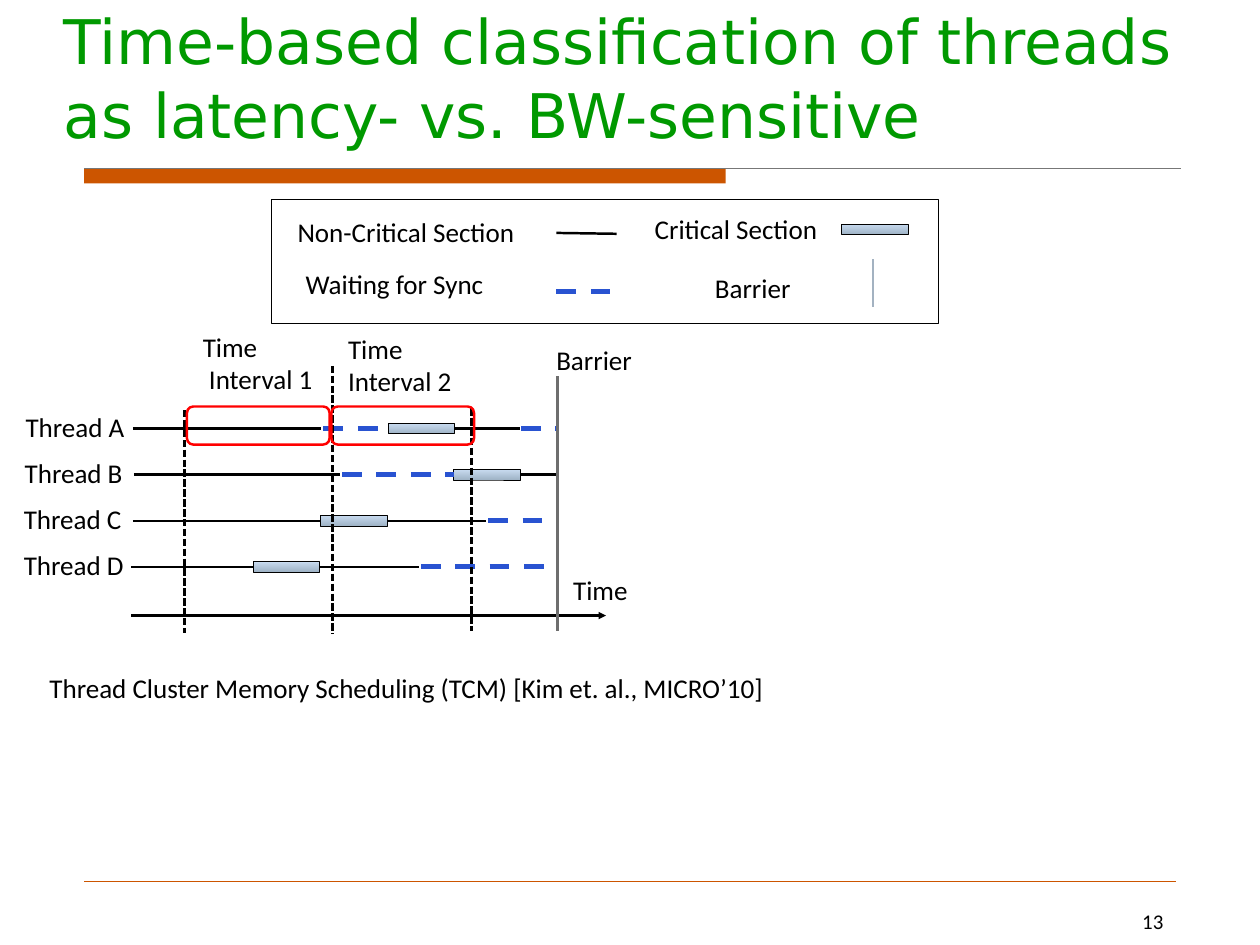
from pptx import Presentation
from pptx.dml.color import RGBColor
from pptx.enum.dml import MSO_LINE as Dash
from pptx.enum.shapes import MSO_CONNECTOR as Connector, MSO_SHAPE as Preset
from pptx.enum.text import MSO_ANCHOR as Anchor, MSO_AUTO_SIZE as AutoSize, PP_ALIGN as Align
from pptx.oxml.ns import qn
from pptx.util import Inches, Pt
from lxml.etree import SubElement

# Content (lengths in inches)
TITLE = "Time-based classification of threads as latency- vs. BW-sensitive"
CITATION = ("Thread Cluster Memory Scheduling (TCM) [Kim et. al., MICRO’10]", 0.46, 7.53, 8.57)
PAGE = "13"

LEGEND_BOX = (3.06, 2.25, 7.53, 1.4)
LEGEND_LABELS = [  # text, left, top, width
    ("Non-Critical Section", 3.26, 2.38, 2.79),
    ("Waiting for Sync", 3.35, 2.97, 2.26),
    ("Critical Section", 7.29, 2.35, 2.12),
    ("Barrier", 7.97, 3.02, 1.09),
]
LEGEND_LINES = [  # line style, start, end
    ("run", (6.28, 2.63), (6.96, 2.64)),
    ("wait", (6.28, 3.29), (6.89, 3.29)),
    ("legend barrier", (9.85, 2.93), (9.85, 3.47)),
]
LEGEND_CRITICAL = (9.5, 2.59)  # left, middle

THREADS = [  # name, label left, label width, spans of (state, from, to)
    ("Thread A", 0.19, 1.37, [("run", 1.5, 3.62), ("wait", 3.65, 4.38), ("critical", 4.38, 5.13),
                              ("run", 5.13, 5.87), ("wait", 5.88, 6.3)]),
    ("Thread B", 0.18, 1.35, [("run", 1.51, 3.84), ("wait", 3.86, 5.12), ("critical", 5.12, 5.87),
                              ("run", 5.87, 6.3)]),
    ("Thread C", 0.17, 1.4, [("run", 1.5, 3.62), ("critical", 3.62, 4.37),
                             ("run", 4.37, 5.48), ("wait", 5.51, 6.25)]),
    ("Thread D", 0.17, 1.41, [("run", 1.48, 2.86), ("critical", 2.86, 3.61),
                              ("run", 3.61, 4.73), ("wait", 4.75, 6.3)]),
]
FIRST_THREAD, THREAD_PITCH = 4.84, 0.52
CRITICAL_WIDTH, CRITICAL_HEIGHT = 0.75, 0.12
LABEL_HEIGHT = 0.47

TIME_AXIS = ((1.48, 6.95), (6.84, 6.95))
MARKERS = [  # line style, x, top, bottom
    ("interval", 2.08, 4.63, 7.15),
    ("interval", 3.75, 4.13, 7.15),
    ("interval", 5.32, 4.61, 7.12),
    ("barrier", 6.29, 4.25, 7.12),
]
CHART_LABELS = [("Time", 6.37, 6.43, 0.84), ("Barrier", 6.18, 3.83, 1.09)]
INTERVALS = [  # name, label left, top, width, indent of second line, frame left
    ("Interval 1", 2.19, 3.68, 1.48, 0.07, 2.11),
    ("Interval 2", 3.83, 3.7, 1.39, 0, 3.74),
]
FRAME_TOP, FRAME_WIDTH, FRAME_HEIGHT = 4.59, 1.61, 0.43

THEME = {
    "title": {"name": "DejaVu Sans", "size": 50, "color": "009900"},
    "label": {"name": "Calibri", "size": 22, "color": "000000"},
    "page": {"name": "Calibri", "size": 17, "color": "000000"},
    "bar": "CC5500",
    "critical": ("9EB2C5", "C9DCF1"),
    "lines": {  # colour, points, dash
        "run": ("000000", 2, None),
        "wait": ("2953D1", 4, Dash.DASH),
        "interval": ("000000", 2, Dash.SQUARE_DOT),
        "barrier": ("6E6E6E", 2, None),
        "legend barrier": ("A3B2C1", 2, None),
        "outline": ("000000", 0.75, None),
        "frame": ("FF0000", 2, None),
        "header": ("777777", 0.75, None),
        "footer": ("CC5500", 0.25, None),
    },
}

deck = Presentation()
deck.slide_width, deck.slide_height = Inches(14.22), Inches(10.67)
slide = deck.slides.add_slide(deck.slide_layouts[5])


def inches(*lengths):
    return [Inches(length) for length in lengths]


def set_all(target, values):
    for key, value in values.items():
        setattr(target, key, value)


def style_font(font, style):
    look = THEME[style]
    set_all(font, {"name": look["name"], "size": Pt(look["size"]), "bold": False})
    font.color.rgb = RGBColor.from_string(look["color"])


def style_line(line, style):
    color, width, dash = THEME["lines"][style]
    line.color.rgb = RGBColor.from_string(color)
    line.width = Pt(width)
    if dash:
        line.dash_style = dash


def add_line(style, start, end, arrow=False):
    connector = slide.shapes.add_connector(Connector.STRAIGHT, *inches(*start, *end))
    style_line(connector.line, style)
    properties = connector.element.spPr
    if arrow:
        SubElement(properties.find(qn("a:ln")), qn("a:tailEnd"), type="triangle")
    SubElement(properties, qn("a:effectLst"))
    return connector


def add_box(preset, box, style=None):
    shape = slide.shapes.add_shape(preset, *inches(*box))
    shape.shadow.inherit = False
    shape.fill.background()
    if style:
        style_line(shape.line, style)
    else:
        shape.line.fill.background()
    return shape


def add_critical(left, middle):
    section = add_box(Preset.RECTANGLE, (left, middle - CRITICAL_HEIGHT / 2,
                                         CRITICAL_WIDTH, CRITICAL_HEIGHT), "outline")
    section.fill.gradient()
    section.fill.gradient_angle = 90
    for stop, color in zip(section.fill.gradient_stops, THEME["critical"]):
        stop.color.rgb = RGBColor.from_string(color)
    return section


def add_label(lines, left, top, width, height=LABEL_HEIGHT, style="label"):
    frame = slide.shapes.add_textbox(*inches(left, top, width, height)).text_frame
    frame.word_wrap = True
    frame.text = "\n".join(lines)
    for paragraph in frame.paragraphs:
        style_font(paragraph.font, style)
    return frame


# Header and footer rules
bar = add_box(Preset.RECTANGLE, (0.95, 1.9, 7.24, 0.17))
bar.fill.solid()
bar.fill.fore_color.rgb = RGBColor.from_string(THEME["bar"])
add_line("header", (0.95, 1.9), (13.33, 1.9))
add_line("footer", (0.95, 9.95), (13.27, 9.95))

# Title and page number
margins = dict(zip(("margin_left", "margin_top", "margin_right", "margin_bottom"),
                   inches(0.14, 0.07, 0.14, 0.07)))
title = slide.shapes.title
set_all(title, dict(zip(("left", "top", "width", "height"), inches(0.58, 0.47, 13.64, 1.3))))
title.text_frame.text = TITLE
set_all(title.text_frame, {**margins, "vertical_anchor": Anchor.BOTTOM,
                           "auto_size": AutoSize.NONE, "word_wrap": True})
heading = title.text_frame.paragraphs[0]
heading.alignment = Align.LEFT
style_font(heading.font, "title")

page = add_label([PAGE], 10.19, 10.19, 3.08, 0.26, "page")
set_all(page, margins)
page.paragraphs[0].alignment = Align.RIGHT

# Legend
add_box(Preset.RECTANGLE, LEGEND_BOX, "outline")
add_critical(*LEGEND_CRITICAL)
for style, start, end in LEGEND_LINES:
    add_line(style, start, end)

# Threads: critical sections first, then the lines joined to them
for row, (name, left, width, spans) in enumerate(THREADS):
    y = FIRST_THREAD + row * THREAD_PITCH
    add_label([name], left, y - 0.26, width)
    sections = {i: add_critical(start, y)
                for i, (state, start, _) in enumerate(spans) if state == "critical"}
    for i, (state, start, end) in enumerate(spans):
        if i in sections:
            continue
        segment = add_line(state, (start, y), (end, y))
        if i - 1 in sections:
            segment.begin_connect(sections[i - 1], 3)
        if i + 1 in sections:
            segment.end_connect(sections[i + 1], 1)

# Time axis, interval markers and barrier
add_line("run", *TIME_AXIS, arrow=True)
for style, x, top, bottom in MARKERS:
    add_line(style, (x, top), (x, bottom))

# Interval frames and their labels
for name, left, top, width, indent, frame_left in INTERVALS:
    add_box(Preset.ROUNDED_RECTANGLE, (frame_left, FRAME_TOP, FRAME_WIDTH, FRAME_HEIGHT), "frame")
    label = add_label(["Time", name], left, top, width, 0.84)
    label.paragraphs[1]._p.get_or_add_pPr().set("marL", str(Inches(indent)))

# Remaining labels
for text, *place in [*LEGEND_LABELS, *CHART_LABELS, CITATION]:
    add_label([text], *place)

deck.save("out.pptx")
